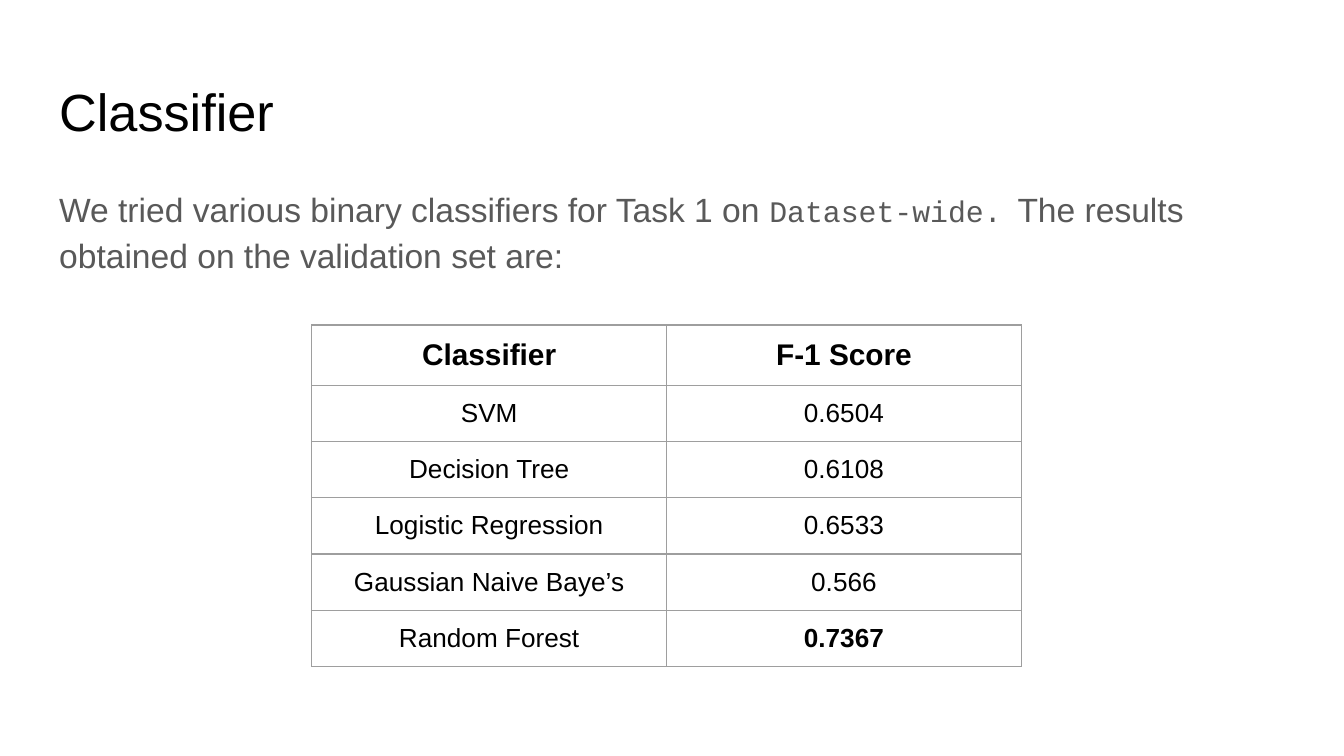
import pptx
import pptx.util
import pptx.dml.color
import pptx.enum.text
import pptx.oxml.ns
import lxml.etree

HUES = {"ink": "000000", "text": "595959", "rule": "9E9E9E"}
SANS, MONO = "Arial", "Courier New"
SCORES = [
    ("SVM", "0.6504"),
    ("Decision Tree", "0.6108"),
    ("Logistic Regression", "0.6533"),
    ("Gaussian Naive Baye’s", "0.566"),
    ("Random Forest", "0.7367"),
]


class Deck:
    def __init__(self, wide, high):
        self.file = pptx.Presentation()
        self.wide = self.file.slide_width = pptx.util.Inches(wide)
        self.high = self.file.slide_height = pptx.util.Inches(high)
        self.pad = pptx.util.Inches(0.1)
        self.slide = self.file.slides.add_slide(self.file.slide_layouts[1])

    def box(self, left, top, width, height):
        return (int(left * self.wide), int(top * self.high),
                int(width * self.wide), int(height * self.high))

    def inset(self, part):
        part.margin_left = part.margin_right = self.pad
        part.margin_top = part.margin_bottom = self.pad
        part.vertical_anchor = pptx.enum.text.MSO_ANCHOR.TOP

    def run(self, para, text, size, hue, font=SANS, bold=False):
        run = para.add_run()
        run.text = text
        run.font.size = pptx.util.Pt(size)
        run.font.name = font
        run.font.bold = bold
        run.font.color.rgb = pptx.dml.color.RGBColor.from_string(HUES[hue])

    def fill(self, index, place, runs, hue, space=1.0):
        shape = self.slide.placeholders[index]
        shape.left, shape.top, shape.width, shape.height = self.box(*place)
        frame = shape.text_frame
        self.inset(frame)
        frame.word_wrap = True
        frame.auto_size = pptx.enum.text.MSO_AUTO_SIZE.NONE
        para = frame.paragraphs[0]
        para.alignment = pptx.enum.text.PP_ALIGN.LEFT
        para.line_spacing = space
        para.space_before = pptx.util.Pt(0)
        props = para._p.get_or_add_pPr()
        props.set("marL", "0")
        props.set("indent", "0")
        lxml.etree.SubElement(props, pptx.oxml.ns.qn("a:buNone"))
        for text, size, font in runs:
            self.run(para, text, size, hue, font)

    def edge(self, cell):
        props = cell._tc.get_or_add_tcPr()
        for side in ("a:lnL", "a:lnR", "a:lnT", "a:lnB"):
            line = lxml.etree.SubElement(
                props, pptx.oxml.ns.qn(side), w=str(pptx.util.Pt(0.75)))
            solid = lxml.etree.SubElement(line, pptx.oxml.ns.qn("a:solidFill"))
            lxml.etree.SubElement(
                solid, pptx.oxml.ns.qn("a:srgbClr"), val=HUES["rule"])

    def table(self, place, head, rows):
        data = [head] + rows
        best = max(score for name, score in rows)
        grid = self.slide.shapes.add_table(
            len(data), len(head), *self.box(*place)).table
        grid.first_row = grid.horz_banding = False
        for r, row in enumerate(data):
            for c, text in enumerate(row):
                cell = grid.cell(r, c)
                self.inset(cell)
                self.edge(cell)
                cell.fill.background()
                para = cell.text_frame.paragraphs[0]
                para.alignment = pptx.enum.text.PP_ALIGN.CENTER
                self.run(para, text, 16 if r == 0 else 14, "ink",
                         bold=r == 0 or text == best)

    def save(self):
        self.file.save("out.pptx")


def main():
    deck = Deck(10, 10 * 9 / 16)
    deck.fill(0, (0.034, 0.087, 0.932, 0.112),
              [("Classifier", 28, SANS)], "ink")
    deck.fill(1, (0.034, 0.224, 0.932, 0.665), [
        ("We tried various binary classifiers for Task 1 on ", 18, SANS),
        ("Dataset-wide.", 16, MONO),
        (" ", 14, MONO),
        ("The results obtained on the validation set are:", 18, SANS),
    ], "text", 1.15)
    deck.table((0.232, 0.43, 0.528, 4 / 9),
               ("Classifier", "F-1 Score"), SCORES)
    deck.save()


if __name__ == "__main__":
    main()
